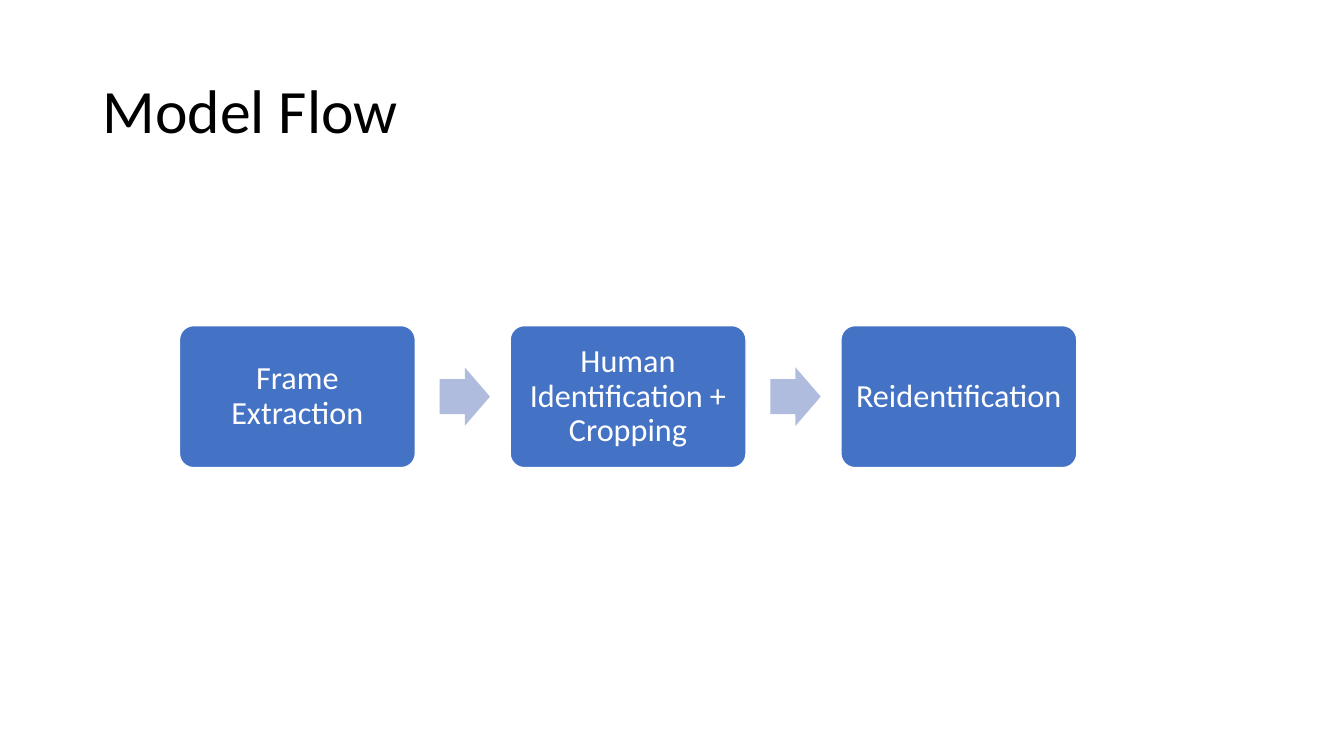
from dataclasses import dataclass

from pptx import Presentation
from pptx.dml.color import RGBColor
from pptx.enum.shapes import MSO_SHAPE
from pptx.enum.text import MSO_ANCHOR, PP_ALIGN
from pptx.util import Inches, Pt

BOX = MSO_SHAPE.ROUNDED_RECTANGLE
ARROW = MSO_SHAPE.RIGHT_ARROW
MIDDLE = MSO_ANCHOR.MIDDLE
LEFT, CENTER = PP_ALIGN.LEFT, PP_ALIGN.CENTER


@dataclass(frozen=True)
class Theme:
    font: str = "Calibri"
    ink: RGBColor = RGBColor(0x00, 0x00, 0x00)
    white: RGBColor = RGBColor(0xFF, 0xFF, 0xFF)
    box: RGBColor = RGBColor(0x44, 0x72, 0xC4)
    arrow: RGBColor = RGBColor(0xB0, 0xBC, 0xDE)
    title: int = 44
    label: int = 23


THEME = Theme()
STEPS = ["Frame Extraction", "Human Identification + Cropping", "Reidentification"]

# Flow layout in inches
START, PITCH, CENTRE = 1.78, 3.28, 3.935
BOX_W, BOX_H = 2.34, 1.41
ARROW_W, ARROW_H, GAP = 0.5, 0.58, 0.24


def write(shape, text, size, color, align):
    """Fill a shape with one styled paragraph."""
    frame = shape.text_frame
    frame.text = text
    frame.word_wrap = True
    frame.vertical_anchor = MIDDLE
    para = frame.paragraphs[0]
    para.alignment = align
    para.line_spacing = 0.9
    font = para.runs[0].font
    font.name, font.size = THEME.font, Pt(size)
    font.color.rgb = color


def add_title(slide, text):
    box = slide.shapes.add_textbox(Inches(0.92), Inches(0.4), Inches(11.5), Inches(1.45))
    write(box, text, THEME.title, THEME.ink, LEFT)


def add_block(slide, kind, left, width, height, fill):
    """Add a flat shape centred on the flow line."""
    top = CENTRE - height / 2
    shape = slide.shapes.add_shape(
        kind, Inches(left), Inches(top), Inches(width), Inches(height))
    shape.shadow.inherit = False
    shape.fill.solid()
    shape.fill.fore_color.rgb = fill
    return shape


def add_step(slide, left, text):
    box = add_block(slide, BOX, left, BOX_W, BOX_H, THEME.box)
    box.adjustments[0] = 0.1
    box.line.color.rgb = THEME.white
    box.line.width = Pt(1)
    frame = box.text_frame
    frame.margin_left = frame.margin_right = Inches(0.1)
    frame.margin_top = frame.margin_bottom = Inches(0.1)
    write(box, text, THEME.label, THEME.white, CENTER)


def add_arrow(slide, left):
    arrow = add_block(slide, ARROW, left, ARROW_W, ARROW_H, THEME.arrow)
    arrow.adjustments[0] = 0.6
    arrow.adjustments[1] = 0.5
    arrow.line.fill.background()


def main():
    deck = Presentation()
    deck.slide_width, deck.slide_height = Inches(13.33), Inches(7.5)
    slide = deck.slides.add_slide(deck.slide_layouts[6])

    # Heading
    add_title(slide, "Model Flow")

    # Steps, with an arrow before each one but the first
    for i, text in enumerate(STEPS):
        left = START + i * PITCH
        if i:
            add_arrow(slide, left - PITCH + BOX_W + GAP)
        add_step(slide, left, text)

    deck.save("out.pptx")


if __name__ == "__main__":
    main()
